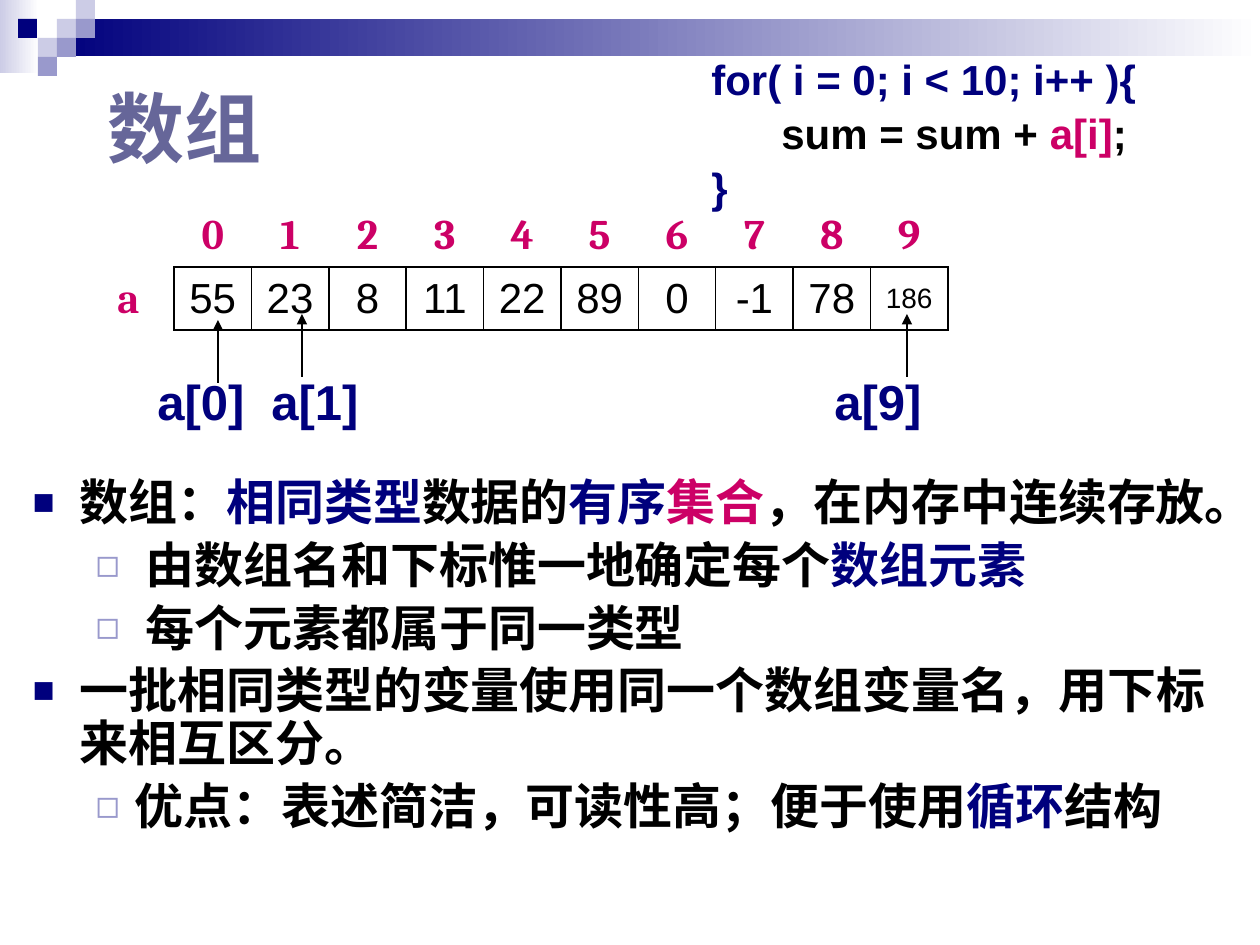
"""Build a slide that explains arrays with a table, a loop and a list."""
from lxml import etree
from pptx import Presentation
from pptx.dml.color import RGBColor
from pptx.enum import shapes, text
from pptx.oxml.ns import qn
from pptx.util import Pt

PX = 914400 / 126
HUES = {"navy": "00007D", "pale": "CCCCE6", "lilac": "9999CC", "slate": "666699",
        "pink": "CC0066", "ink": "000000", "white": "FFFFFF"}
PLAIN = "{2D5ABB26-0587-4C30-8999-92F81FD0307C}"
DATA = ["55", "23", "8", "11", "22", "89", "0", "-1", "78", "186"]
CODE = [(0, [("for( i = 0; i < 10; i++ ){", "navy")]),
        (70, [("sum = sum + ", "ink"), ("a[i]", "pink"), (";", "ink")]),
        (0, [("}", "navy")])]
ITEMS = [
    (0, [("数组：", "ink"), ("相同类型", "navy"), ("数据的", "ink"), ("有序", "navy"),
         ("集合", "pink"), ("，在内存中连续存放。", "ink")]),
    (1, [(" 由数组名和下标惟一地确定每个", "ink"), ("数组元素", "navy")]),
    (1, [(" 每个元素都属于同一类型", "ink")]),
    (0, [("一批相同类型的变量使用同一个数组变量名，用下标来相互区分。", "ink")]),
    (1, [("优点：表述简洁，可读性高；便于使用", "ink"), ("循环", "navy"), ("结构", "ink")]),
]
MARKS = [("■", "navy", 75, 47, -47), ("◻", "lilac", 80, 102, -39)]


def px(*vals):
    """Turn pixel lengths into a list of EMU."""
    return [round(v * PX) for v in vals]


def rgb(hue):
    """Look up a colour by name."""
    return RGBColor.from_string(HUES[hue])


def style(run, hue, size, face="Arial", bold=True):
    """Format one run."""
    font = run.font
    font.name, font.size, font.bold = face, Pt(size), bold
    font.color.rgb = rgb(hue)


def write(para, parts, size, face="Arial", bold=True):
    """Fill a paragraph with coloured runs."""
    for words, hue in parts:
        run = para.add_run()
        run.text = words
        style(run, hue, size, face, bold)


def paras(frame, count):
    """Give a frame as many paragraphs as needed."""
    return [frame.paragraphs[0]] + [frame.add_paragraph() for _ in range(count - 1)]


def block(slide, box, hue, fade=False):
    """Add a plain or fading rectangle."""
    shape = slide.shapes.add_shape(shapes.MSO_SHAPE.RECTANGLE, *px(*box))
    shape.shadow.inherit = False
    shape.line.fill.background()
    if fade:
        shape.fill.gradient()
        shape.fill.gradient_angle = 0
        for stop, name, place in zip(shape.fill.gradient_stops, (hue, "white"), (0, 1)):
            stop.color.rgb, stop.position = rgb(name), place
    else:
        shape.fill.solid()
        shape.fill.fore_color.rgb = rgb(hue)


def banner(slide):
    """Draw the band and squares at the top."""
    block(slide, (0, 0, 39, 73), "pale", True)
    block(slide, (57, 19, 1203, 37), "navy", True)
    for left, top, hue in [(57, 19, "pale"), (76, 0, "pale"), (76, 19, "lilac"),
                           (38, 38, "pale"), (18, 19, "navy"), (57, 38, "lilac"),
                           (38, 57, "lilac")]:
        block(slide, (left, top, 19, 19), hue)


def label(slide, box, words, hue, size, face="Arial"):
    """Add a one-line text box."""
    frame = slide.shapes.add_textbox(*px(*box)).text_frame
    frame.word_wrap = True
    write(frame.paragraphs[0], [(words, hue)], size, face)


def listing(slide):
    """Add the loop code."""
    frame = slide.shapes.add_textbox(*px(699, 47, 556, 169)).text_frame
    frame.word_wrap = True
    for para, (indent, parts) in zip(paras(frame, len(CODE)), CODE):
        para.space_before = Pt(2)
        para._p.get_or_add_pPr().set("marL", str(px(indent)[0]))
        write(para, parts, 24)


def border(cell):
    """Draw a thin line on every side of a cell."""
    props = cell._tc.get_or_add_tcPr()
    for side in ("a:lnL", "a:lnR", "a:lnT", "a:lnB"):
        line = etree.SubElement(props, qn(side), w="12700")
        fill = etree.SubElement(line, qn("a:solidFill"))
        etree.SubElement(fill, qn("a:srgbClr"), val=HUES["ink"])


def grid(slide):
    """Add the table of indices and values."""
    table = slide.shapes.add_table(2, len(DATA), *px(174, 204, 774, 126)).table
    table.first_row = table.horz_banding = False
    table._tbl.tblPr.find(qn("a:tableStyleId")).text = PLAIN
    for col, value in enumerate(DATA):
        top, low = table.cell(0, col), table.cell(1, col)
        border(low)
        small = 16 if len(value) > 2 else 24
        for cell, words, look in [(top, str(col), ("pink", 24, "Cambria")),
                                  (low, value, ("ink", small, "Arial", False))]:
            cell.fill.background()
            cell.vertical_anchor = text.MSO_ANCHOR.MIDDLE
            para = cell.text_frame.paragraphs[0]
            para.text, para.alignment = words, text.PP_ALIGN.CENTER
            style(para.runs[0], *look)


def arrow(slide, left, low, high):
    """Add an upright arrow."""
    line = slide.shapes.add_connector(shapes.MSO_CONNECTOR.STRAIGHT,
                                      *px(left, low, left, high))
    line.line.color.rgb, line.line.width = rgb("ink"), Pt(1)
    etree.SubElement(line.line._get_or_add_ln(), qn("a:tailEnd"), type="triangle")
    etree.SubElement(line._element.spPr, qn("a:effectLst"))


def place(holder, box):
    """Move a placeholder and stop its text from shrinking."""
    holder.left, holder.top, holder.width, holder.height = px(*box)
    holder.text_frame.auto_size = text.MSO_AUTO_SIZE.NONE
    return holder.text_frame


def head(slide):
    """Fill the title."""
    frame = place(slide.shapes.title, (95, 66, 226, 122))
    frame.text = "数组"
    frame.vertical_anchor = text.MSO_ANCHOR.MIDDLE
    frame.paragraphs[0].alignment = text.PP_ALIGN.LEFT
    style(frame.paragraphs[0].runs[0], "slate", 44)


def bullet(para, level):
    """Set the indent and mark of a list level."""
    mark, hue, size, left, hang = MARKS[level]
    para.level = level
    props = para._p.get_or_add_pPr()
    for name, value in zip(("marL", "indent"), px(left, hang)):
        props.set(name, str(value))
    fill = etree.SubElement(props, qn("a:buClr"))
    etree.SubElement(fill, qn("a:srgbClr"), val=HUES[hue])
    etree.SubElement(props, qn("a:buSzPct"), val=str(size * 1000))
    etree.SubElement(props, qn("a:buFont"), typeface="Arial")
    etree.SubElement(props, qn("a:buChar"), char=mark)


def body(slide):
    """Fill the list."""
    frame = place(slide.placeholders[1], (20, 472, 1216, 441))
    for para, (level, parts) in zip(paras(frame, len(ITEMS)), ITEMS):
        bullet(para, level)
        para.line_spacing, para.space_before = 0.9, Pt(5.6)
        write(para, parts, 28)


def main():
    """Build and save the slide."""
    deck = Presentation()
    deck.slide_width, deck.slide_height = px(1260, 945)
    slide = deck.slides.add_slide(deck.slide_layouts[1])
    banner(slide)
    grid(slide)
    listing(slide)
    label(slide, (105, 265, 49, 63), "a", "pink", 24, "Cambria")
    for words, left, stem, low in [("a[0]", 145, 218, 383), ("a[1]", 259, 302, 377),
                                   ("a[9]", 822, 907, 377)]:
        label(slide, (left, 365, 120, 71), words, "navy", 28)
        arrow(slide, stem, low, low - 63)
    head(slide)
    body(slide)
    deck.save("out.pptx")


if __name__ == "__main__":
    main()
